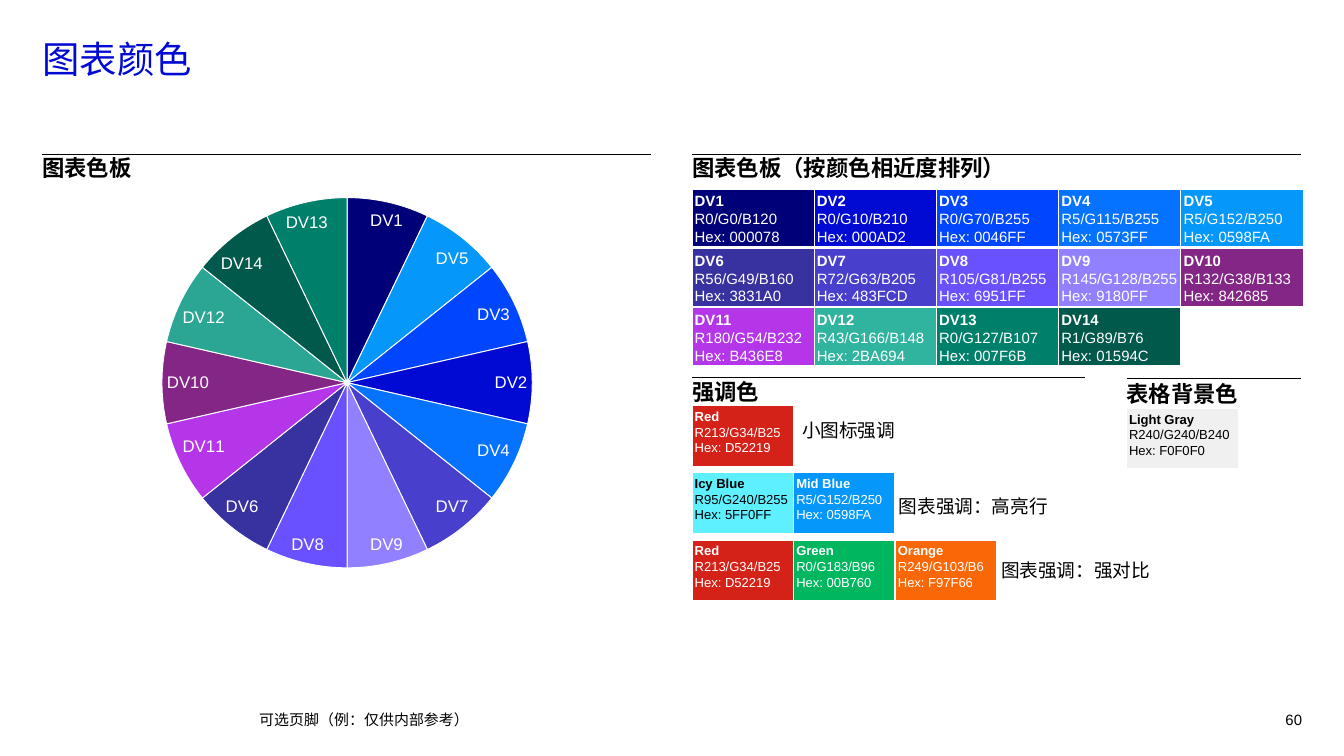
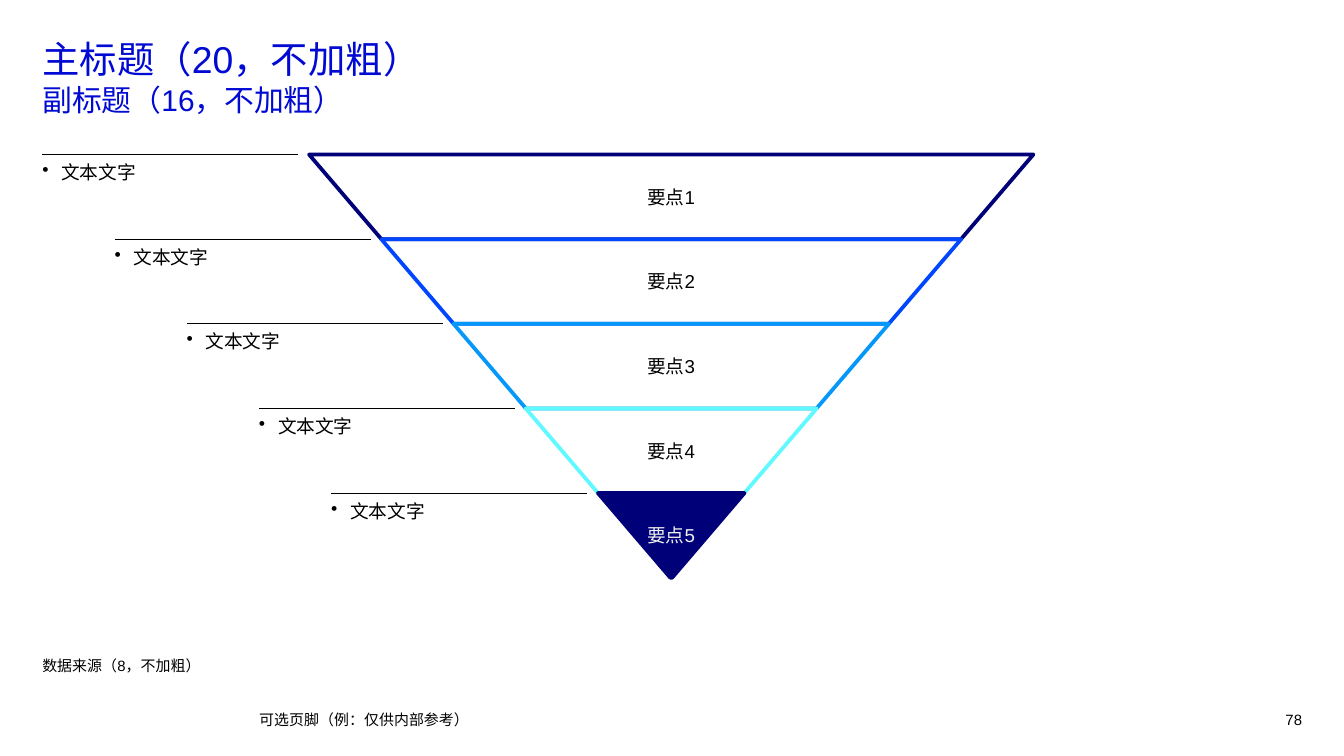
from lxml import etree
from pptx import Presentation
from pptx import util as u
from pptx.chart import data as chart_data
from pptx.dml.color import RGBColor
from pptx.enum import chart as charts, shapes, text
from pptx.oxml import ns, parse_xml

Cm, Pt = u.Cm, u.Pt
color = RGBColor.from_string

FONT = "Arial"
TITLE_BLUE, BLACK, WHITE, GRAY = "000AD2", "000000", "FFFFFF", "F0F0F0"
NAVY = "000078"
LEFT, RIGHT_COLUMN, COLUMN_WIDTH, TOP = 0.8, 13.08, 11.51, 2.92
FOOTER = "可选页脚（例：仅供内部参考）"


def write_text(shape, content, size=10, fill=BLACK, bold_first=False, align="LEFT",
               anchor="TOP", margin=0, wrap=True, bullet=False):
    """Write one paragraph per line; bold_first makes the first one bold."""
    frame = shape.text_frame
    frame.word_wrap = wrap
    frame.auto_size = text.MSO_AUTO_SIZE.NONE
    frame.vertical_anchor = text.MSO_ANCHOR[anchor]
    frame.margin_left = frame.margin_right = Cm(margin)
    frame.margin_top = frame.margin_bottom = Cm(margin)
    frame.text = content
    for index, paragraph in enumerate(frame.paragraphs):
        paragraph.alignment = text.PP_ALIGN[align]
        if bullet:
            properties = paragraph._p.get_or_add_pPr()
            properties.set("marL", str(Cm(0.36)))
            properties.set("indent", str(-Cm(0.36)))
            etree.SubElement(properties, ns.qn("a:buChar"), char="•")
        for run in paragraph.runs:
            run.font.name = FONT
            run.font.size = Pt(size)
            run.font.bold = bold_first and index == 0
            run.font.color.rgb = color(fill)


def draw_rule(slide, left, top, width, weight):
    """Draw a thin black horizontal line."""
    line = slide.shapes.add_connector(shapes.MSO_CONNECTOR.STRAIGHT, Cm(left), Cm(top),
                                      Cm(left + width), Cm(top))
    line.line.color.rgb = color(BLACK)
    line.line.width = Pt(weight)
    etree.SubElement(line._element.spPr, ns.qn("a:effectLst"))


presentation = Presentation()
presentation.slide_width, presentation.slide_height = Cm(25.4), Cm(14.29)

# Shared title and footer
pages = []
for title_text, title_height, number in [("图表颜色", 1.83, "60"), ("主标题（20，不加粗）", 1.04, "78")]:
    slide = presentation.slides.add_slide(presentation.slide_layouts[5])
    title = slide.shapes.title
    title.left, title.top = Cm(LEFT), Cm(0.69)
    title.width, title.height = Cm(23.8), Cm(title_height)
    write_text(title, title_text, size=20, fill=TITLE_BLUE)
    for content, left, width, align in [(FOOTER, 4.9, 16.41, "LEFT"), (number, 23.62, 0.99, "RIGHT")]:
        box = slide.shapes.add_textbox(Cm(left), Cm(13.41), Cm(width), Cm(0.38))
        write_text(box, content, size=8, align=align, anchor="MIDDLE")
    pages.append(slide)
colors_slide, funnel_slide = pages

# Colours slide: pie chart
palette = {
    "DV1": NAVY, "DV2": "000AD2", "DV3": "0046FF", "DV4": "0573FF", "DV5": "0598FA",
    "DV6": "3831A0", "DV7": "483FCD", "DV8": "6951FF", "DV9": "9180FF", "DV10": "842685",
    "DV11": "B436E8", "DV12": "2BA694", "DV13": "007F6B", "DV14": "01594C",
}
pie_order = [f"DV{n}" for n in (1, 5, 3, 2, 4, 7, 9, 8, 6, 11, 10, 12, 14, 13)]
pie_data = chart_data.CategoryChartData()
pie_data.categories = pie_order
pie_data.add_series("Series 1", [7] * len(pie_order))
chart = colors_slide.shapes.add_chart(charts.XL_CHART_TYPE.PIE, Cm(LEFT), Cm(TOP),
                                      Cm(COLUMN_WIDTH), Cm(8), pie_data).chart
chart.has_title = chart.has_legend = False
chart.font.name, chart.font.size = FONT, Pt(10)
chart.font.color.rgb = color(BLACK)
plot = chart.plots[0]
plot.vary_by_categories = True
plot.has_data_labels = True
labels = plot.data_labels
labels.show_category_name, labels.show_value, labels.show_percentage = True, False, False
labels.position = charts.XL_LABEL_POSITION.BEST_FIT
labels.font.name, labels.font.size = FONT, Pt(9)
labels.font.color.rgb = color(WHITE)
for index, name in enumerate(pie_order):
    point = plot.series[0].points[index]
    point.format.fill.solid()
    point.format.fill.fore_color.rgb = color(palette[name])
    point.format.line.color.rgb = color(WHITE)
    point.format.line.width = Pt(0.5)

# Fixed position of the pie inside the chart
plot_area = chart._chartSpace.chart.plotArea
for old_layout in plot_area.findall(ns.qn("c:layout")):
    plot_area.remove(old_layout)
plot_area.insert(0, parse_xml(
    f'<c:layout {ns.nsdecls("c")}><c:manualLayout><c:layoutTarget val="inner"/>'
    '<c:xMode val="edge"/><c:yMode val="edge"/><c:x val="0.196"/><c:y val="0.102"/>'
    '<c:w val="0.609"/><c:h val="0.875"/></c:manualLayout></c:layout>'))

# Colours slide: section headings under rules
for heading, left, top, width, gap in [
    ("图表色板", LEFT, TOP, COLUMN_WIDTH, 0),
    ("图表色板（按颜色相近度排列）", RIGHT_COLUMN, TOP, COLUMN_WIDTH, 0),
    ("强调色", RIGHT_COLUMN, 7.14, 7.42, 0),
    ("表格背景色", 21.29, 7.16, 3.3, 0.03),
]:
    draw_rule(colors_slide, left, top, width, 0.75)
    box = colors_slide.shapes.add_textbox(Cm(left), Cm(top + gap), Cm(width), Cm(0.51))
    write_text(box, heading, size=12, bold_first=True)

# Colours slide: swatches as (name, colour, left, top, width, height, text size, text colour)
swatches = []
for index, (name, value) in enumerate(palette.items()):
    row, column = divmod(index, 5)
    swatches.append((name, value, RIGHT_COLUMN + 2.31 * column, 3.58 + 1.12 * row,
                     2.31, 1.09, 8, WHITE))
accent_rows = [
    [("Red", "D52219", WHITE)],
    [("Icy Blue", "5FF0FF", BLACK), ("Mid Blue", "0598FA", WHITE)],
    [("Red", "D52219", WHITE), ("Green", "00B760", WHITE), ("Orange", "F96706", WHITE)],
]
for row, accents in enumerate(accent_rows):
    for column, (name, value, ink) in enumerate(accents):
        swatches.append((name, value, RIGHT_COLUMN + 1.92 * column, 7.67 + 1.27 * row,
                         1.91, 1.14, 7, ink))
swatches.append(("Light Gray", GRAY, 21.29, 7.72, 2.11, 1.14, 7, BLACK))

shown_fill = {"DV12": "30B39F"}
shown_hex = {"Orange": "F97F66"}
for name, value, left, top, width, height, size, ink in swatches:
    swatch = colors_slide.shapes.add_shape(shapes.MSO_SHAPE.RECTANGLE, Cm(left), Cm(top),
                                           Cm(width), Cm(height))
    swatch.shadow.inherit = False
    swatch.fill.solid()
    swatch.fill.fore_color.rgb = color(shown_fill.get(name, value))
    swatch.line.color.rgb = color(WHITE)
    swatch.line.width = Pt(0.5)
    rgb = "R{}/G{}/B{}".format(*color(value))
    write_text(swatch, f"{name}\n{rgb}\nHex: {shown_hex.get(name, value)}", size=size,
               fill=ink, bold_first=True, margin=0.05)

# Colours slide: what each accent row is for
for usage, left, top, width in [
    ("小图标强调", 15.16, 7.92, 1.78),
    ("图表强调：高亮行", 16.99, 9.35, 2.84),
    ("图表强调：强对比", 18.92, 10.57, 2.84),
]:
    box = colors_slide.shapes.add_textbox(Cm(left), Cm(top), Cm(width), Cm(0.43))
    write_text(box, usage, wrap=False)

# Funnel slide: subtitle on the second line of the title
title_paragraph = funnel_slide.shapes.title.text_frame.paragraphs[0]
title_paragraph.add_line_break()
subtitle = title_paragraph.add_run()
subtitle.text = "副标题（16，不加粗）"
subtitle.font.name, subtitle.font.size = FONT, Pt(16)
subtitle.font.color.rgb = color(TITLE_BLUE)

# Funnel slide: levels narrowing downwards, each with a note on its left
LEVEL_HEIGHT, INSET, FUNNEL_WIDTH = 1.6, 1.365, 13.69
level_colors = [NAVY, "0046FF", "0598FA", "5FF9FF", NAVY]
for index, level_color in enumerate(level_colors):
    is_tip = index == len(level_colors) - 1
    shift = INSET * index
    top = TOP + LEVEL_HEIGHT * index
    bounds = (Cm(5.84 + shift), Cm(top), Cm(FUNNEL_WIDTH - 2 * shift), Cm(LEVEL_HEIGHT))

    level = funnel_slide.shapes.add_shape(shapes.MSO_SHAPE.TRAPEZOID, *bounds)
    level.rotation = 180
    level.adjustments[0] = 0.855
    level.shadow.inherit = False
    if is_tip:
        level.fill.solid()
        level.fill.fore_color.rgb = color(level_color)
    else:
        level.fill.background()
    level.line.color.rgb = color(level_color)
    level.line.width = Pt(2)
    etree.SubElement(level.line._get_or_add_ln(), ns.qn("a:round"))

    label = funnel_slide.shapes.add_textbox(*bounds)
    write_text(label, f"要点{index + 1}", fill=GRAY if is_tip else BLACK, align="CENTER",
               anchor="MIDDLE", margin=0.03)

    draw_rule(funnel_slide, LEFT + shift, top, 4.84, 0.5)
    note = funnel_slide.shapes.add_textbox(Cm(LEFT + shift), Cm(top + 0.12), Cm(4.9), Cm(0.43))
    write_text(note, "文本文字", bullet=True)

# Funnel slide: data source
source = funnel_slide.shapes.add_textbox(Cm(LEFT), Cm(11.4), Cm(23.8), Cm(1.35))
write_text(source, "数据来源（8，不加粗）", size=8, anchor="BOTTOM")

presentation.save("out.pptx")
